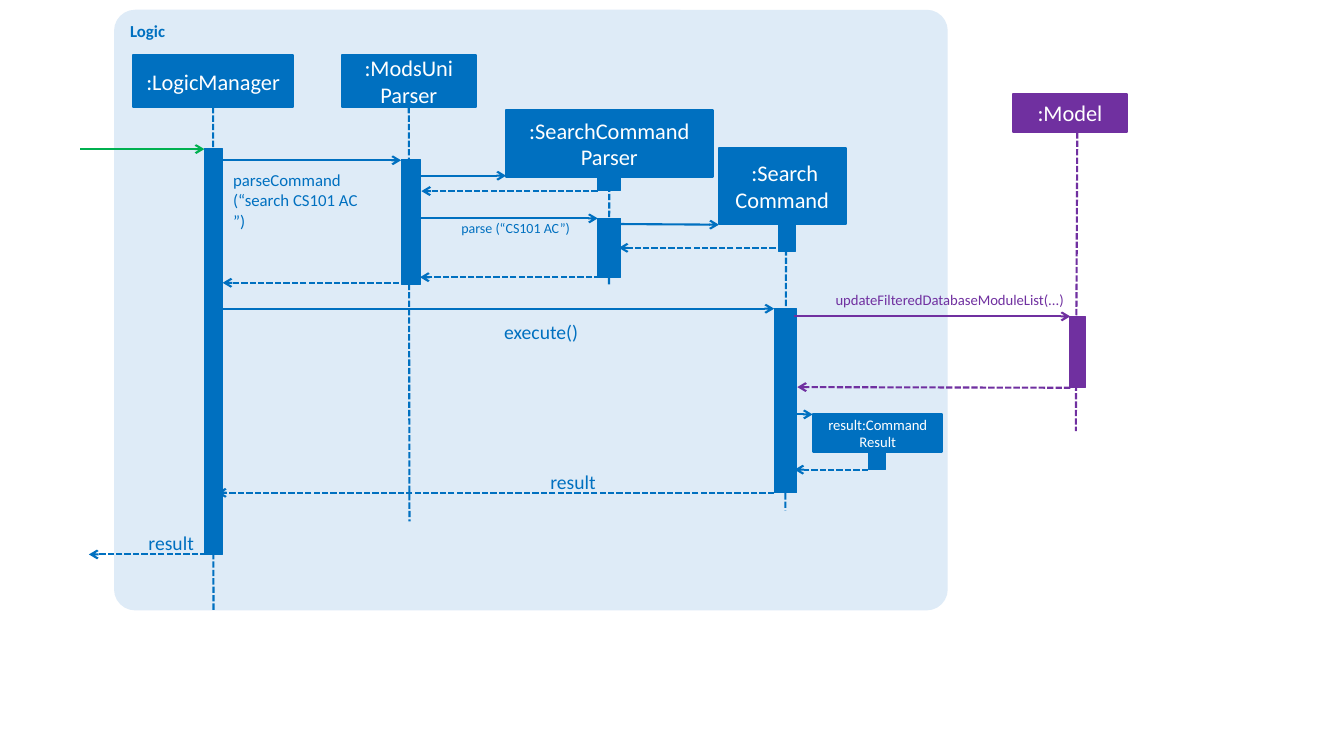
from lxml import etree
from pptx import Presentation
from pptx.dml.color import RGBColor
from pptx.enum.dml import MSO_LINE
from pptx.enum.shapes import MSO_CONNECTOR, MSO_SHAPE
from pptx.enum.text import MSO_ANCHOR, MSO_AUTO_SIZE, PP_ALIGN
from pptx.oxml.ns import qn
from pptx.util import Pt

STRAIGHT = MSO_CONNECTOR.STRAIGHT
RECTANGLE, ROUNDED = MSO_SHAPE.RECTANGLE, MSO_SHAPE.ROUNDED_RECTANGLE
DASH = MSO_LINE.SQUARE_DOT
LEFT, CENTER, RIGHT = PP_ALIGN.LEFT, PP_ALIGN.CENTER, PP_ALIGN.RIGHT
TOP, MIDDLE = MSO_ANCHOR.TOP, MSO_ANCHOR.MIDDLE
GROW = MSO_AUTO_SIZE.SHAPE_TO_FIT_TEXT
BOTTOM_SIDE = 2
BLUE, PURPLE, GREEN = "0070C0", "7030A0", "00B050"
PALE, WHITE = "DEEBF7", "FFFFFF"

BARS = [
    (146, 106, 12.5, 290, BLUE),
    (286.5, 114, 13.5, 89, BLUE),
    (426.5, 126.5, 16.5, 9.5, BLUE),
    (427, 156, 16.5, 42, BLUE),
    (556, 160, 12, 19.5, BLUE),
    (553, 220.5, 16, 131.5, BLUE),
    (764, 226, 11, 51, PURPLE),
    (620.5, 322, 12, 13.5, BLUE),
]
CALLS = [
    (57.5, 106.5, 146, 106.5, GREEN),
    (159, 114.5, 286.5, 114.5, BLUE),
    (296.5, 125.5, 361.5, 125.5, BLUE),
    (301, 156, 427, 156, BLUE),
    (438.5, 160, 513.5, 160.5, BLUE),
    (159, 220.5, 553, 220.5, BLUE),
    (567.5, 226, 764.5, 226, PURPLE),
    (567.5, 296, 580.5, 296, BLUE),
]
RETURNS = [
    (427, 136.5, 301, 136.5, BLUE),
    (560, 177, 442, 177, BLUE),
    (435, 198, 300, 198, BLUE),
    (285, 202, 159, 202, BLUE),
    (764.5, 277, 569.5, 276.5, PURPLE),
    (620, 335.5, 567.5, 335.5, BLUE),
    (553, 352, 155, 352, BLUE),
    (153.5, 396, 63.5, 396, BLUE),
]
LABELS = [
    ("parseCommand\n(“search CS101 AC\n”)", 166.5, 121.5, 112.5, 44, 12, BLUE, LEFT),
    ("parse (“CS101 AC”)", 294.5, 157, 112.5, 12, 10, BLUE, RIGHT),
    ("execute()", 345.5, 228.5, 67.5, 17, 14, BLUE, RIGHT),
    ("updateFilteredDatabaseModuleList(...)", 556, 208, 204, 25, 10.5, PURPLE, RIGHT),
    ("result", 376.5, 335.5, 49, 17, 14, BLUE, RIGHT),
    ("result", 78.5, 379, 60, 17, 14, BLUE, RIGHT),
]


def color(value):
    """Turn a hex string into a colour."""
    return RGBColor.from_string(value)


def write(shape, text, size, ink, align, anchor, bold=False):
    """Put formatted text into a shape."""
    frame = shape.text_frame
    frame.text = text
    frame.word_wrap = True
    frame.vertical_anchor = anchor
    for para in frame.paragraphs:
        para.alignment = align
        for span in para.runs:
            span.font.name = "Calibri"
            span.font.size = Pt(size)
            span.font.bold = bold
            span.font.color.rgb = color(ink)


def add_box(page, kind, left, top, width, height, fill, line_width=0):
    """Draw a filled shape, outlined in its own colour when a line width is given."""
    box = page.shapes.add_shape(kind, Pt(left), Pt(top), Pt(width), Pt(height))
    box.shadow.inherit = False
    box.fill.solid()
    box.fill.fore_color.rgb = color(fill)
    if line_width:
        box.line.color.rgb = color(fill)
        box.line.width = Pt(line_width)
    else:
        box.line.fill.background()
    return box


def add_panel(page):
    """Draw the rounded Logic area."""
    panel = add_box(page, ROUNDED, 81.5, 7, 595.5, 429, PALE)
    panel.adjustments[0] = 0.035
    write(panel, "Logic", 12, BLUE, LEFT, TOP, True)


def add_participant(page, text, left, top, width, height, fill=BLUE, size=16):
    """Draw the named head of a lifeline."""
    box = add_box(page, RECTANGLE, left, top, width, height, fill, 1.5)
    write(box, text, size, WHITE, CENTER, MIDDLE)
    return box


def add_line(page, x1, y1, x2, y2, ink, dashed=False, arrow=False):
    """Draw a straight line, optionally dashed or with an arrowhead at its end."""
    line = page.shapes.add_connector(STRAIGHT, Pt(x1), Pt(y1), Pt(x2), Pt(y2))
    line.line.color.rgb = color(ink)
    line.line.width = Pt(1.5)
    if dashed:
        line.line.dash_style = DASH
    if arrow:
        etree.SubElement(line.line._get_or_add_ln(), qn("a:tailEnd"), type="arrow")
    etree.SubElement(line._element.spPr, qn("a:effectLst"))
    return line


def add_label(page, text, left, top, width, height, size, ink, align):
    """Write a message name beside its arrow."""
    box = page.shapes.add_textbox(Pt(left), Pt(top), Pt(width), Pt(height))
    write(box, text, size, ink, align, TOP)
    frame = box.text_frame
    frame.margin_left = frame.margin_right = frame.margin_top = frame.margin_bottom = 0
    frame.auto_size = GROW


def main():
    """Build the sequence diagram."""
    deck = Presentation()
    deck.slide_width, deck.slide_height = Pt(960), Pt(540)
    page = deck.slides.add_slide(deck.slide_layouts[6])
    add_panel(page)

    manager = add_participant(page, ":LogicManager", 95, 39.5, 114.5, 37)
    parser = add_participant(page, ":ModsUni\vParser", 244, 39.5, 96, 37)
    search_parser = add_participant(page, ":SearchCommand\nParser", 361.5, 78.5, 147.5, 48)
    add_participant(page, " :Search\nCommand", 513.5, 106, 90.5, 54)
    add_participant(page, ":Model", 723.5, 67, 81.5, 27.5, PURPLE)
    add_participant(page, "result:Command Result", 581, 296, 92, 26.5, size=10.5)

    for head, x, bottom in [(manager, 152.5, 436.5), (parser, 292.5, 372.5), (search_parser, 435, 204.5)]:
        lifeline = add_line(page, x, 77, x, bottom, BLUE, dashed=True)
        lifeline.begin_connect(head, BOTTOM_SIDE)
    add_line(page, 561.5, 160, 561, 364.5, BLUE, dashed=True)
    add_line(page, 769.5, 94.5, 768.5, 308, PURPLE, dashed=True)

    for bar in BARS:
        add_box(page, RECTANGLE, *bar, line_width=0.5)
    for call in CALLS:
        add_line(page, *call, arrow=True)
    for reply in RETURNS:
        add_line(page, *reply, dashed=True, arrow=True)
    for label in LABELS:
        add_label(page, *label)
    deck.save("out.pptx")


if __name__ == "__main__":
    main()
